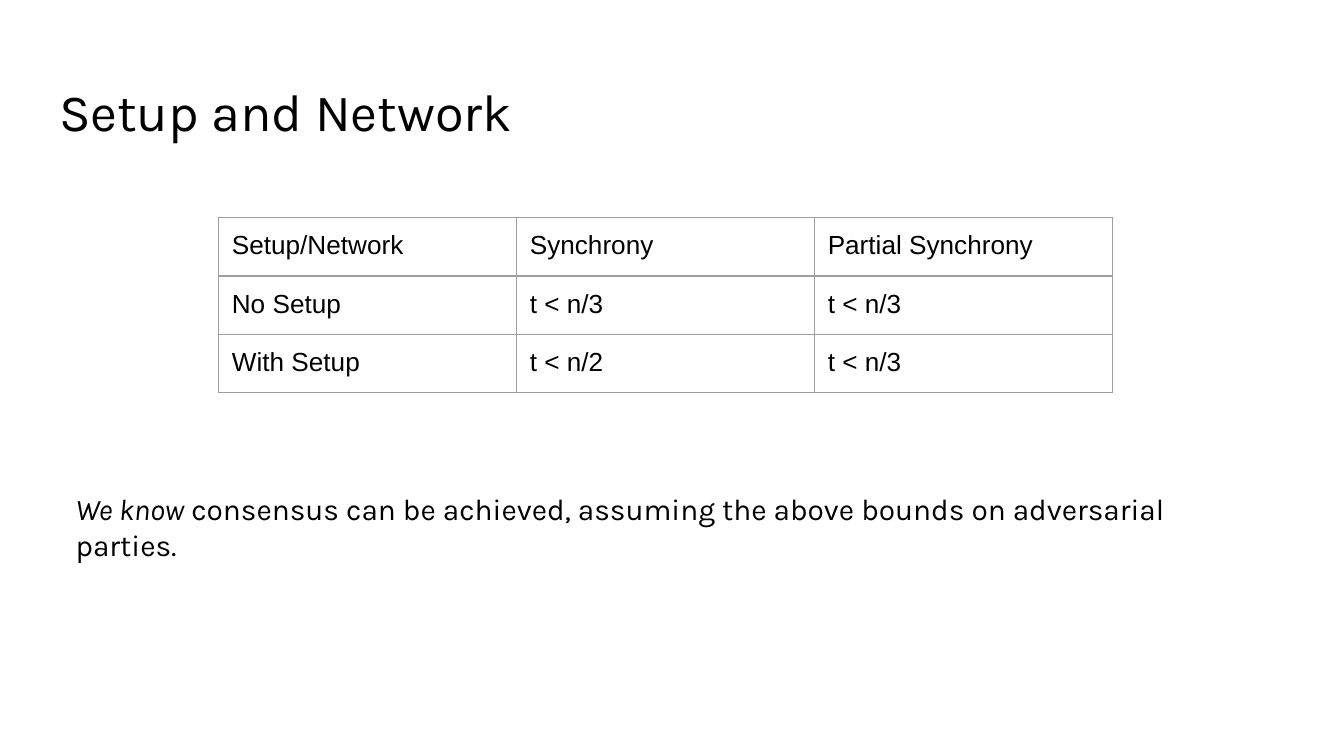
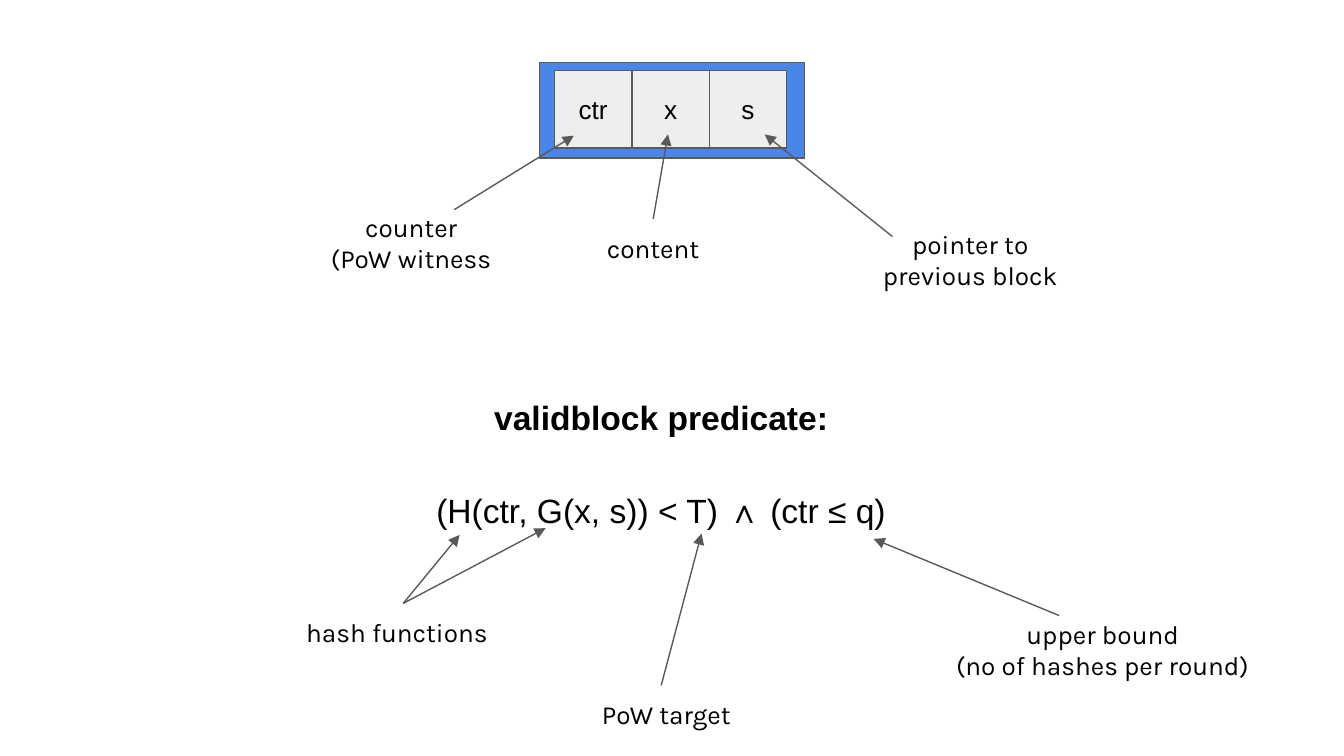
from lxml import etree
from pptx import Presentation
from pptx import util as u
from pptx.dml.color import RGBColor
from pptx.enum import shapes, text
from pptx.oxml.ns import qn

BLACK = RGBColor(0x00, 0x00, 0x00)
BLUE = RGBColor(0x4A, 0x86, 0xE8)
PALE = RGBColor(0xEE, 0xEE, 0xEE)
GREY = RGBColor(0x59, 0x59, 0x59)
BORDER = RGBColor(0x9E, 0x9E, 0x9E)
PROSE, PLAIN = "Karla", "Arial"
COLUMNS, ROWS = 100, 56.25
LEFT, CENTER = text.PP_ALIGN.LEFT, text.PP_ALIGN.CENTER
THIN = u.Pt(0.75)


def grid(cells):
    return u.Inches(cells / 10)


def set_font(font, size, name):
    font.size = u.Pt(size)
    font.name = name
    font.bold = False
    font.color.rgb = BLACK


def pad(holder):
    holder.margin_left = holder.margin_right = grid(1)
    holder.margin_top = holder.margin_bottom = grid(1)


def add_text(page, area, lines, size=14, name=PROSE, align=LEFT, grow=False):
    frame = page.shapes.add_textbox(*map(grid, area)).text_frame
    frame.word_wrap = True
    pad(frame)
    if grow:
        frame.auto_size = text.MSO_AUTO_SIZE.SHAPE_TO_FIT_TEXT
    for index, line in enumerate(lines):
        para = frame.add_paragraph() if index else frame.paragraphs[0]
        para.text = line
        para.alignment = align
        set_font(para.font, size, name)
    return frame


def add_block(page, area, fill, label=""):
    block = page.shapes.add_shape(shapes.MSO_SHAPE.RECTANGLE, *map(grid, area))
    block.shadow.inherit = False
    block.fill.solid()
    block.fill.fore_color.rgb = fill
    block.line.color.rgb = GREY
    block.line.width = THIN
    if label:
        frame = block.text_frame
        pad(frame)
        frame.vertical_anchor = text.MSO_ANCHOR.MIDDLE
        frame.text = label
        para = frame.paragraphs[0]
        para.alignment = CENTER
        set_font(para.font, 14, PLAIN)


def add_arrow(page, start, end):
    arrow = page.shapes.add_connector(
        shapes.MSO_CONNECTOR.STRAIGHT, *map(grid, start + end))
    arrow.line.color.rgb = GREY
    arrow.line.width = THIN
    etree.SubElement(arrow.line._get_or_add_ln(), qn("a:tailEnd"), type="triangle")
    etree.SubElement(arrow._element.spPr, qn("a:effectLst"))


def add_borders(cell):
    properties = cell._tc.get_or_add_tcPr()
    for index, side in enumerate(("lnL", "lnR", "lnT", "lnB")):
        edge = etree.Element(qn(f"a:{side}"), w=str(THIN))
        fill = etree.SubElement(edge, qn("a:solidFill"))
        etree.SubElement(fill, qn("a:srgbClr"), val=str(BORDER))
        properties.insert(index, edge)


def add_grid_table(page, left, top, column, row, rows):
    width, height = column * len(rows[0]), row * len(rows)
    table = page.shapes.add_table(
        len(rows), len(rows[0]), *map(grid, (left, top, width, height))).table
    table.first_row = table.horz_banding = False
    for each in table.columns:
        each.width = grid(column)
    for each in table.rows:
        each.height = grid(row)
    for cell, value in zip(table.iter_cells(), sum(rows, ())):
        pad(cell)
        cell.fill.background()
        cell.text = value
        set_font(cell.text_frame.paragraphs[0].runs[0].font, 14, PLAIN)
        add_borders(cell)


def build_setup(page):
    add_text(page, (3.41, 4.9, 93.2, 6.3), ["Setup and Network"], 28)
    add_grid_table(page, 16.25, 16.2, 22.17, 4.2, [
        ("Setup/Network", "Synchrony", "Partial Synchrony"),
        ("No Setup", "t < n/3", "t < n/3"),
        ("With Setup", "t < n/2", "t < n/3"),
    ])
    note = add_text(page, (4.65, 35.5, 90.3, 7.8), ["We know"], 16)
    para = note.paragraphs[0]
    para.runs[0].font.italic = True
    span = para.add_run()
    span.text = (" consensus can be achieved, assuming the above bounds "
                 "on adversarial parties.")


def build_block(page):
    side = 5.76
    add_block(page, (40.15, 4.65, 19.7, 7.1), BLUE)
    for index, field in enumerate(("ctr", "x", "s")):
        add_block(page, (41.25 + index * side, 5.25, side, side), PALE, field)

    for area, lines, align in (
        ((23.6, 14.7, 14, 6.7), ["counter", "(PoW witness"], CENTER),
        ((41.6, 16.3, 14, 4.4), ["content"], CENTER),
        ((64, 16, 16.4, 6.7), ["pointer to previous block"], CENTER),
        ((21.8, 44.9, 16.4, 4.4), ["hash functions"], LEFT),
        ((43.8, 51, 43.6, 4.4), ["PoW target"], LEFT),
        ((69.1, 45, 25.9, 6.7), ["upper bound", "(no of hashes per round)"], CENTER),
    ):
        add_text(page, area, lines, align=align, grow=True)

    predicate = add_text(
        page, (26.2, 28.1, 41, 12),
        ["validblock predicate:", "(H(ctr, G(x, s)) < T) ∧ (ctr ≤ q)"],
        18, PLAIN, CENTER, grow=True)
    for para in predicate.paragraphs:
        para.line_spacing = 1.15
        para._p.get_or_add_pPr().set("marL", str(grid(5)))
    heading, formula = predicate.paragraphs
    heading.font.bold = True
    heading.space_after = u.Pt(25)
    formula.space_after = u.Pt(16)

    for start, end in (
        ((33.8, 15.6), (42.7, 10.1)),
        ((48.6, 16.3), (49.7, 10)),
        ((66.4, 17.6), (56.9, 10)),
        ((30, 44.9), (34.2, 39.8)),
        ((30, 44.9), (40.6, 39.3)),
        ((49.2, 51), (52.2, 39.7)),
        ((78.8, 45.8), (65, 40.1)),
    ):
        add_arrow(page, start, end)


def main():
    deck = Presentation()
    deck.slide_width, deck.slide_height = grid(COLUMNS), grid(ROWS)
    for build in (build_setup, build_block):
        build(deck.slides.add_slide(deck.slide_layouts[6]))
    deck.save("out.pptx")


if __name__ == "__main__":
    main()
